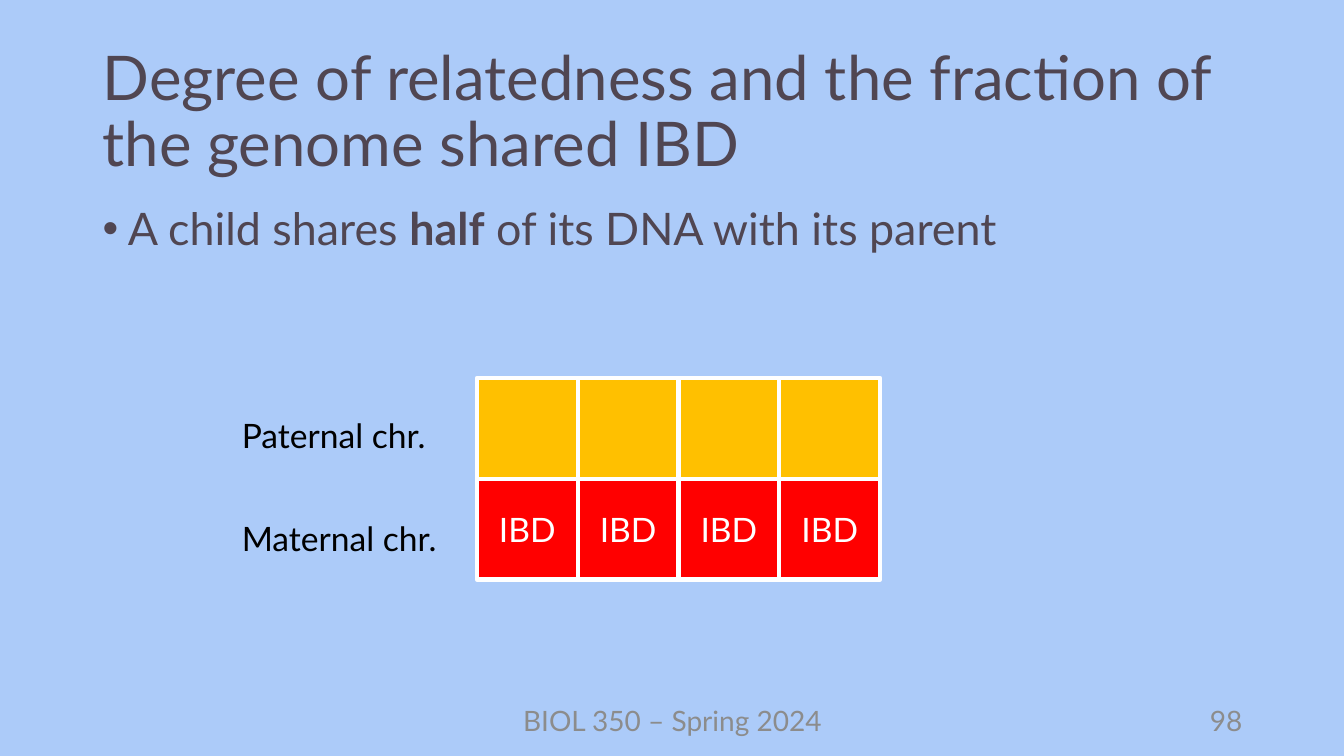
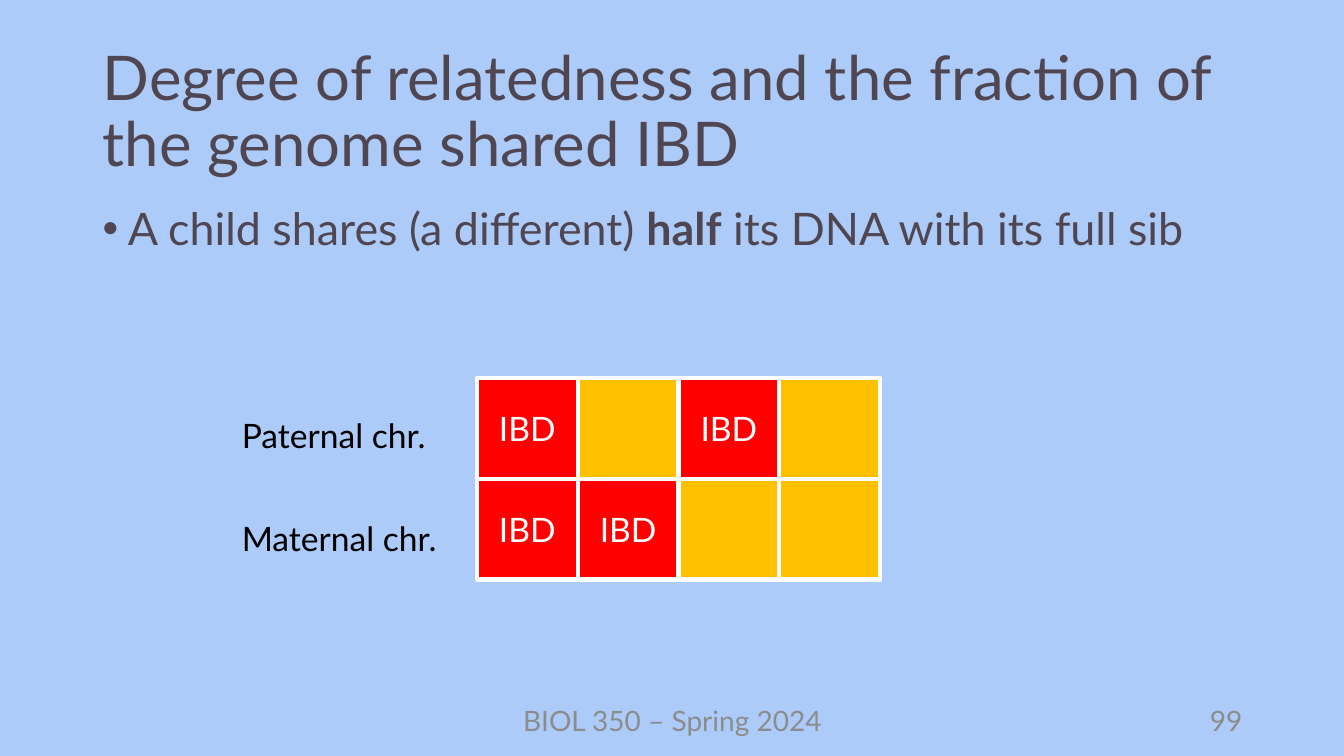
"""Build two slides on relatedness and the genome fraction shared IBD."""
from dataclasses import dataclass

import lxml.etree
import pptx
import pptx.dml.color
import pptx.enum.shapes
import pptx.enum.text
import pptx.oxml.ns
import pptx.presentation
import pptx.slide
import pptx.util

Inches = pptx.util.Inches
Pt = pptx.util.Pt
ALIGN = pptx.enum.text.PP_ALIGN
ANCHOR = pptx.enum.text.MSO_ANCHOR

COLORS = {
    "background": "ACCBF9",
    "heading": "504652",
    "footer": "8C8C8C",
    "label": "000000",
    "white": "FFFFFF",
    "unshared": "FFC000",
    "shared": "FF0000",
}
FONT = "Lato"
TITLE = "Degree of relatedness and the fraction of the genome shared IBD"
FOOTER = "BIOL 350 – Spring 2024"
GRID_LEFT, GRID_TOP, CELL = 4.73, 3.75, 1.0


@dataclass(frozen=True)
class TextStyle:
    size: int
    color: str
    align: ALIGN = ALIGN.LEFT
    anchor: ANCHOR = ANCHOR.TOP
    line_spacing: float = 1.0
    bullet: bool = False


@dataclass(frozen=True)
class TextBlock:
    left: float
    top: float
    width: float
    height: float
    style: TextStyle


@dataclass(frozen=True)
class Relationship:
    number: int
    before: str
    emphasis: str
    after: str
    paternal: tuple[bool, ...]
    maternal: tuple[bool, ...]


LABEL_STYLE = TextStyle(24, "label")
CELL_STYLE = TextStyle(24, "white", ALIGN.CENTER, ANCHOR.MIDDLE)
TITLE_BLOCK = TextBlock(
    0.92, 0.4, 11.5, 1.45, TextStyle(44, "heading", anchor=ANCHOR.MIDDLE, line_spacing=0.9)
)
BODY_BLOCK = TextBlock(
    0.92, 2, 11.5, 4.76, TextStyle(32, "heading", line_spacing=0.9, bullet=True)
)
FOOTER_BLOCK = TextBlock(
    4.42, 6.95, 4.5, 0.4, TextStyle(20, "footer", ALIGN.CENTER, ANCHOR.MIDDLE)
)
NUMBER_BLOCK = TextBlock(
    9.42, 6.95, 3, 0.4, TextStyle(20, "footer", ALIGN.RIGHT, ANCHOR.MIDDLE)
)
CHROMOSOME_LABELS = {
    "Paternal chr.": TextBlock(2.3, 4.07, 2.43, 0.5, LABEL_STYLE),
    "Maternal chr.": TextBlock(2.3, 5.09, 2.43, 0.5, LABEL_STYLE),
}
RELATIONSHIPS = (
    Relationship(
        98, "A child shares ", "half", " of its DNA with its parent",
        (False,) * 4, (True,) * 4,
    ),
    Relationship(
        99, "A child shares (a different) ", "half", " its DNA with its full sib",
        (True, False, True, False), (True, True, False, False),
    ),
)


def rgb(name: str) -> pptx.dml.color.RGBColor:
    return pptx.dml.color.RGBColor.from_string(COLORS[name])


def write_text(frame, style: TextStyle, *texts: str, bold: str = "") -> None:
    frame.word_wrap = True
    frame.vertical_anchor = style.anchor
    paragraph = frame.paragraphs[0]
    paragraph.alignment = style.align
    paragraph.line_spacing = style.line_spacing
    if style.bullet:
        properties = paragraph._p.get_or_add_pPr()
        properties.set("marL", str(Inches(0.25)))
        properties.set("indent", str(Inches(-0.25)))
        bullet_font = lxml.etree.SubElement(properties, pptx.oxml.ns.qn("a:buFont"))
        bullet_font.set("typeface", "Arial")
        bullet = lxml.etree.SubElement(properties, pptx.oxml.ns.qn("a:buChar"))
        bullet.set("char", "•")
    paragraph.font.name = FONT
    paragraph.font.size = Pt(style.size)
    paragraph.font.color.rgb = rgb(style.color)
    for text in texts:
        run = paragraph.add_run()
        run.text = text
        if text == bold:
            run.font.bold = True


def add_text(slide: pptx.slide.Slide, block: TextBlock, *texts: str, bold: str = "") -> None:
    box = slide.shapes.add_textbox(
        Inches(block.left), Inches(block.top), Inches(block.width), Inches(block.height)
    )
    write_text(box.text_frame, block.style, *texts, bold=bold)


def add_cell(slide: pptx.slide.Slide, row: int, column: int, shared: bool) -> None:
    shape = slide.shapes.add_shape(
        pptx.enum.shapes.MSO_SHAPE.RECTANGLE,
        Inches(GRID_LEFT + column * CELL),
        Inches(GRID_TOP + row * CELL),
        Inches(CELL),
        Inches(CELL),
    )
    shape.shadow.inherit = False
    shape.fill.solid()
    shape.fill.fore_color.rgb = rgb("shared" if shared else "unshared")
    shape.line.color.rgb = rgb("white")
    shape.line.width = Pt(3)
    if shared:
        write_text(shape.text_frame, CELL_STYLE, "IBD")


def add_relationship_slide(
    presentation: pptx.presentation.Presentation, relationship: Relationship
) -> None:
    slide = presentation.slides.add_slide(presentation.slide_layouts.get_by_name("Blank"))
    add_text(slide, TITLE_BLOCK, TITLE)
    add_text(
        slide, BODY_BLOCK, relationship.before, relationship.emphasis, relationship.after,
        bold=relationship.emphasis,
    )
    add_text(slide, FOOTER_BLOCK, FOOTER)
    add_text(slide, NUMBER_BLOCK, str(relationship.number))
    for label, block in CHROMOSOME_LABELS.items():
        add_text(slide, block, label)
    for row, chromosome in enumerate((relationship.paternal, relationship.maternal)):
        for column, shared in enumerate(chromosome):
            add_cell(slide, row, column, shared)


def main() -> None:
    presentation = pptx.Presentation()
    presentation.slide_width = Inches(13.33)
    presentation.slide_height = Inches(7.5)
    background = presentation.slide_master.background.fill
    background.solid()
    background.fore_color.rgb = rgb("background")
    for relationship in RELATIONSHIPS:
        add_relationship_slide(presentation, relationship)
    presentation.save("out.pptx")


if __name__ == "__main__":
    main()
